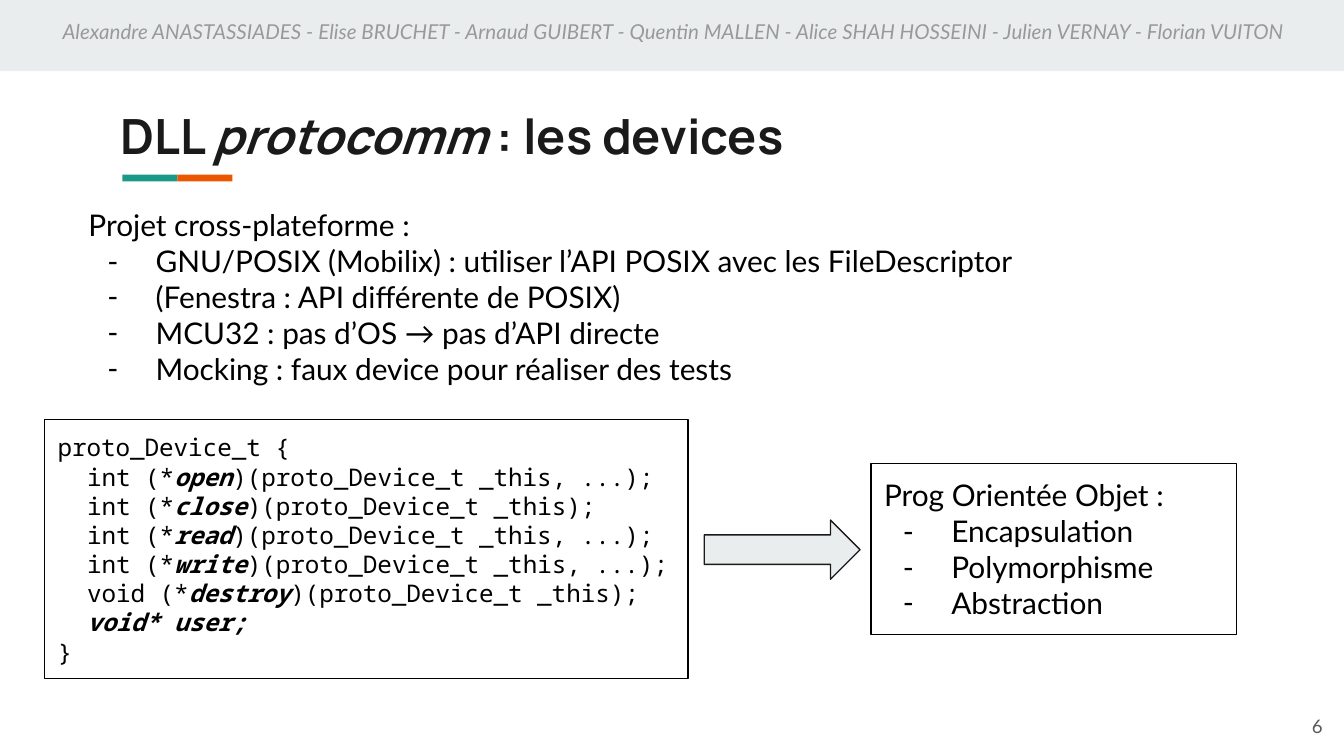
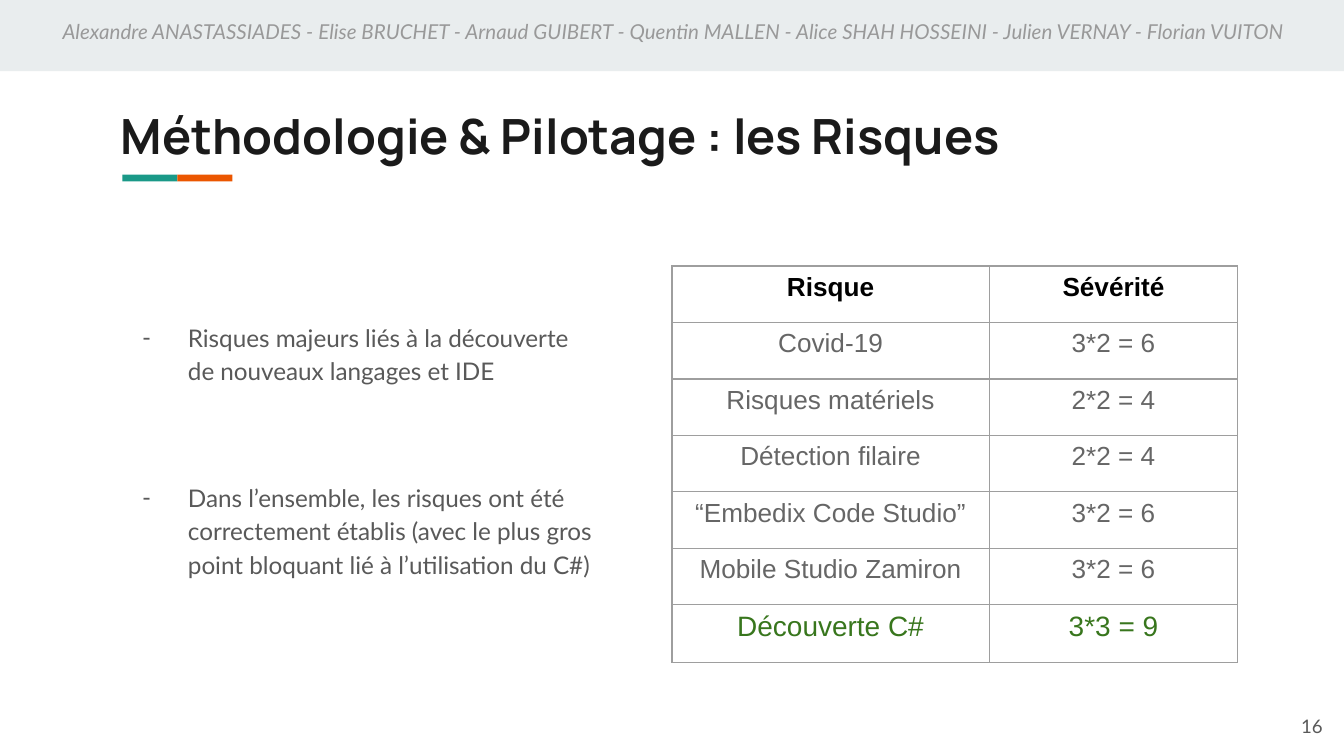
"""Builds two project review slides: device interface and risk table."""
from lxml import etree
from pptx import Presentation, util as u
from pptx.dml.color import RGBColor
from pptx.enum import shapes, text
from pptx.oxml.ns import qn

W = 10
H = W * 9 / 16
BLACK, INK, GREY, BAND = "000000", "1A1A1A", "595959", "E9EDEE"
TEAL, ORANGE, GREEN = "1A9988", "EB5600", "38761D"
NAMES, CELL, BORDER = "999999", "666666", "9E9E9E"
LATO, MONO, HEAD, ARIAL = "Lato", "Noto Sans Mono", "Manrope", "Arial"
TOP, MIDDLE = text.MSO_ANCHOR.TOP, text.MSO_ANCHOR.MIDDLE
CENTER, RIGHT = text.PP_ALIGN.CENTER, text.PP_ALIGN.RIGHT
RECT, ARROW = shapes.MSO_SHAPE.RECTANGLE, shapes.MSO_SHAPE.RIGHT_ARROW

TEAM = ("Alexandre ANASTASSIADES", "Elise BRUCHET", "Arnaud GUIBERT", "Quentin MALLEN",
        "Alice SHAH HOSSEINI", "Julien VERNAY", "Florian VUITON")
DEVICES_TITLE = "DLL |protocomm |: les devices"
PLATFORMS = ["Projet cross-plateforme :",
             "GNU/POSIX (Mobilix) : utiliser l’API POSIX avec les FileDescriptor",
             "(Fenestra : API différente de POSIX)",
             "MCU32 : pas d’OS → pas d’API directe",
             "Mocking : faux device pour réaliser des tests"]
METHODS = [("int", "open", ", ..."), ("int", "close", ""), ("int", "read", ", ..."),
           ("int", "write", ", ..."), ("void", "destroy", "")]
OBJECTS = ["Prog Orientée Objet :", "Encapsulation", "Polymorphisme", "Abstraction"]
RISKS_TITLE = "Méthodologie & Pilotage : les Risques"
FINDINGS = [("Risques majeurs liés à la découverte", "de nouveaux langages et IDE"),
            ("Dans l’ensemble, les risques ont été", "correctement établis (avec le plus gros",
             "point bloquant lié à l’utilisation du C#)")]
RISKS = [("Risque", "Sévérité"), ("Covid-19", "3*2 = 6"), ("Risques matériels", "2*2 = 4"),
         ("Détection filaire", "2*2 = 4"), ("“Embedix Code Studio”", "3*2 = 6"),
         ("Mobile Studio Zamiron", "3*2 = 6"), ("Découverte C#", "3*3 = 9")]


def rgb(color):
    return RGBColor.from_string(color)


def style(r, size, font, color, bold=False, italic=False):
    r.font.size, r.font.name = u.Pt(size), font
    r.font.color.rgb = rgb(color)
    r.font.bold, r.font.italic = bold, italic


def write(p, words, size, font, color, bold=False, italic=False, accent=None):
    """Write words as runs; every second part between bars takes the accent."""
    for i, part in enumerate(words.split("|")):
        if part:
            r = p.add_run()
            r.text = part
            look = accent if i % 2 else dict(bold=bold, italic=italic)
            style(r, size, font, color, **look)


def indent(p, left, hanging=0, bullet=None):
    pPr = p._p.get_or_add_pPr()
    pPr.set("marL", str(u.Inches(left)))
    pPr.set("indent", str(u.Inches(-hanging)))
    if bullet:
        clr = etree.SubElement(pPr, qn("a:buClr"))
        etree.SubElement(clr, qn("a:srgbClr"), val=bullet)
        etree.SubElement(pPr, qn("a:buFont"), typeface=LATO)
        etree.SubElement(pPr, qn("a:buChar"), char="-")


def frame(sp, anchor=TOP):
    tf = sp.text_frame
    tf.word_wrap, tf.vertical_anchor = True, anchor
    tf.margin_left = tf.margin_right = tf.margin_top = tf.margin_bottom = u.Inches(0.1)
    return tf


def box(s, *at, anchor=TOP):
    return frame(s.shapes.add_textbox(*map(u.Inches, at)), anchor)


def shape(s, kind, *at, fill=None, line=None):
    sp = s.shapes.add_shape(kind, *map(u.Inches, at))
    sp.shadow.inherit = False
    if fill:
        sp.fill.solid()
        sp.fill.fore_color.rgb = rgb(fill)
    else:
        sp.fill.background()
    if line:
        sp.line.color.rgb = rgb(line)
        sp.line.width = u.Pt(0.75)
    else:
        sp.line.fill.background()
    return sp


def paragraphs(tf, items):
    for i, item in enumerate(items):
        p = tf.paragraphs[0] if i == 0 else tf.add_paragraph()
        p.alignment = text.PP_ALIGN.LEFT
        yield p, item


def bullets(tf, lines):
    for i, (p, line) in enumerate(paragraphs(tf, lines)):
        if i:
            indent(p, 0.5, 0.36, BLACK)
        write(p, line, 16, LATO, BLACK)


def base(prs, title, number):
    s = prs.slides.add_slide(prs.slide_layouts[6])
    shape(s, RECT, 0, 0, W, 0.53, fill=BAND)
    for i, color in enumerate((TEAL, ORANGE)):
        shape(s, RECT, 0.91 + i * 0.41, 1.3, 0.41, 0.05, fill=color)
    p = box(s, 0.8, 0.69, 8.41, 0.59).paragraphs[0]
    write(p, title, 26, HEAD, INK, bold=True, accent=dict(bold=True, italic=True))
    p = box(s, 9.34, 5.19, 0.6, 0.43, anchor=MIDDLE).paragraphs[0]
    p.alignment = RIGHT
    write(p, str(number), 10, LATO, GREY)
    p = box(s, 0.08, 0.05, 9.87, 0.39).paragraphs[0]
    p.alignment = CENTER
    write(p, " - ".join(TEAM), 11, LATO, NAMES, italic=True)
    return s


def devices(prs):
    s = base(prs, DEVICES_TITLE, 6)
    bullets(box(s, 0.56, 1.44, 8.55, 1.84), PLATFORMS)
    members = [f"{kind} (*|{name}|)(proto_Device_t _this{more});" for kind, name, more in METHODS]
    code = ["proto_Device_t {", *members, "|void* user;", "}"]
    tf = frame(shape(s, RECT, 0.33, 3.12, 4.79, 1.93, line=BLACK))
    for p, line in paragraphs(tf, code):
        if line not in (code[0], code[-1]):
            indent(p, 0.22)
        write(p, line, 13, MONO, BLACK, accent=dict(bold=True, italic=True))
    shape(s, ARROW, 5.24, 3.87, 1.16, 0.44, fill=BAND, line=INK)
    bullets(frame(shape(s, RECT, 6.48, 3.45, 2.72, 1.27, line=BLACK)), OBJECTS)


def borders(cell):
    tcPr = cell._tc.get_or_add_tcPr()
    for side in "LRTB":
        ln = etree.SubElement(tcPr, qn(f"a:ln{side}"), w=str(u.Pt(0.75)))
        fill = etree.SubElement(ln, qn("a:solidFill"))
        etree.SubElement(fill, qn("a:srgbClr"), val=BORDER)


def risks(prs):
    s = base(prs, RISKS_TITLE, 16)
    lines = [(i, j, line) for i, item in enumerate(FINDINGS) for j, line in enumerate(item)]
    for p, (i, j, line) in paragraphs(box(s, 0.8, 2.27, 8.41, 2.47), lines):
        p.line_spacing = 1.15
        if i and j == 0:
            p.space_before = u.Pt(50)
        indent(p, 0.5, 0 if j else 0.34, None if j else GREY)
        write(p, line, 13, LATO, GREY)
    at = map(u.Inches, (5, 1.98, 4.21, 0.42 * len(RISKS)))
    table = s.shapes.add_table(len(RISKS), 2, *at).table
    table.first_row = table.horz_banding = False
    for col, width in zip(table.columns, (2.36, 1.85)):
        col.width = u.Inches(width)
    looks = {0: (14, ARIAL, BLACK, True), len(RISKS) - 1: (15, ARIAL, GREEN)}
    for i, row in enumerate(RISKS):
        table.rows[i].height = u.Inches(0.43 if i == len(RISKS) - 1 else 0.42)
        for j, words in enumerate(row):
            cell = table.cell(i, j)
            borders(cell)
            cell.fill.background()
            p = cell.text_frame.paragraphs[0]
            p.alignment = CENTER
            write(p, words, *looks.get(i, (14, ARIAL, CELL)))


def main():
    prs = Presentation()
    prs.slide_width, prs.slide_height = u.Inches(W), u.Inches(H)
    devices(prs)
    risks(prs)
    prs.save("out.pptx")


if __name__ == "__main__":
    main()
